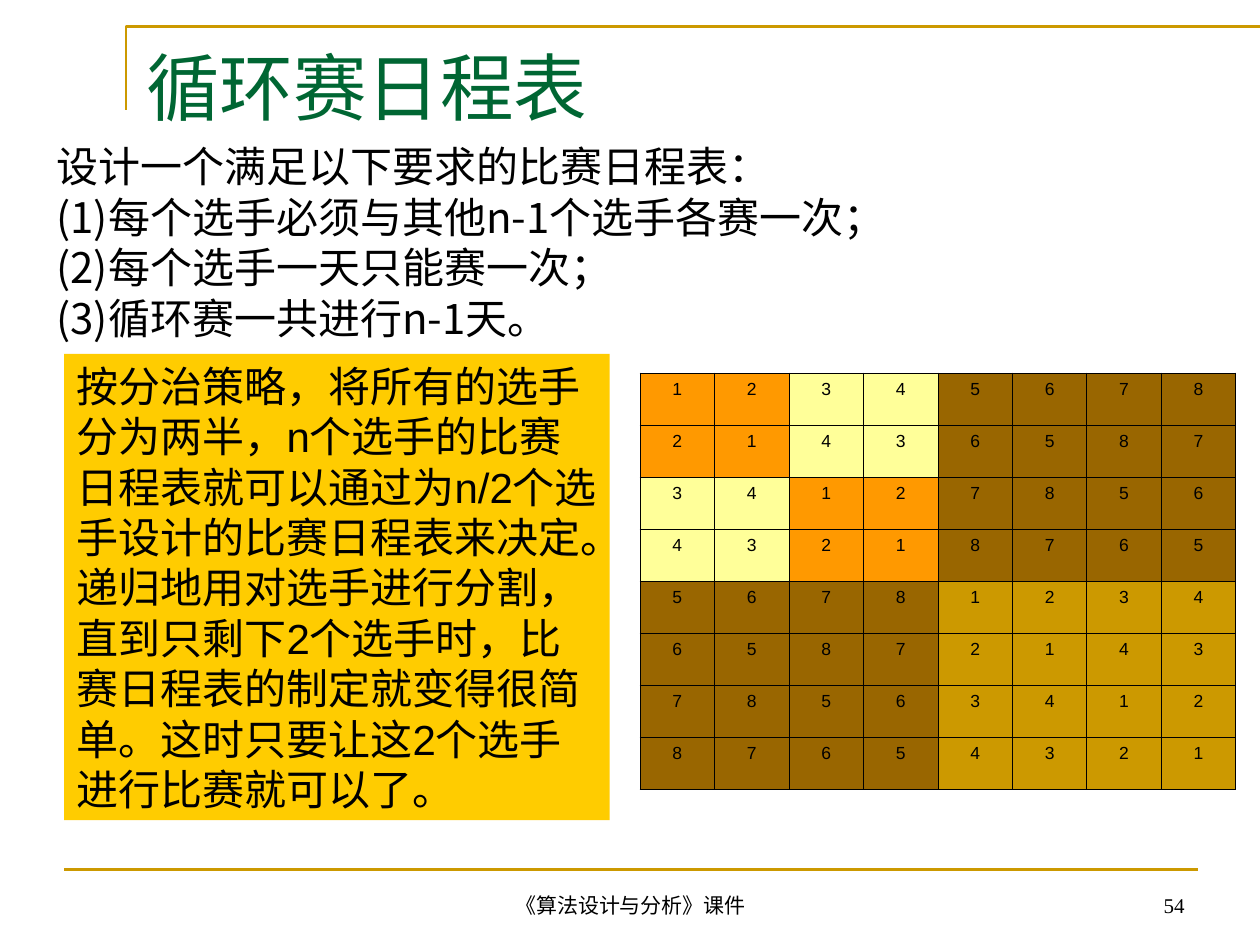
import lxml.etree
import pptx
import pptx.dml.color
import pptx.enum.lang
import pptx.enum.shapes
import pptx.enum.text
import pptx.oxml.ns
import pptx.util

RGBColor = pptx.dml.color.RGBColor
BLACK = RGBColor(0x00, 0x00, 0x00)
GREEN = RGBColor(0x00, 0x66, 0x33)
GOLD = RGBColor(0xCC, 0x99, 0x00)
AMBER = RGBColor(0xFF, 0xCC, 0x00)
ORANGE = RGBColor(0xFF, 0x99, 0x00)
CREAM = RGBColor(0xFF, 0xFF, 0x99)
BROWN = RGBColor(0x99, 0x66, 0x00)

CHINESE_FONT = "Noto Sans CJK SC"
LATIN_FONT = "Arial"
FOOTER_FONT = "Times New Roman"
LINE_WIDTH = pptx.util.Pt(1.5)
BORDER_WIDTH = pptx.util.Pt(0.45)

ALIGN = pptx.enum.text.PP_ALIGN
ANCHOR = pptx.enum.text.MSO_ANCHOR
FIT = pptx.enum.text.MSO_AUTO_SIZE

COLUMNS, ROWS = 100, 75
PLAYERS = 8

REQUIREMENTS = [
    ("设计一个满足以下要求的比赛日程表：", LATIN_FONT),
    ("(1)每个选手必须与其他n-1个选手各赛一次；", CHINESE_FONT),
    ("(2)每个选手一天只能赛一次；", CHINESE_FONT),
    ("(3)循环赛一共进行n-1天。", CHINESE_FONT),
]
STRATEGY = (
    "按分治策略，将所有的选手分为两半，n个选手的比赛日程表就可以通过为n/2个选手"
    "设计的比赛日程表来决定。递归地用对选手进行分割，直到只剩下2个选手时，"
    "比赛日程表的制定就变得很简单。这时只要让这2个选手进行比赛就可以了。"
)


def match_color(row, column):
    half = PLAYERS // 2
    if row // half != column // half:
        return BROWN
    if row >= half:
        return GOLD
    return ORANGE if row // 2 == column // 2 else CREAM


class SlideBuilder:
    def __init__(self, deck):
        self.column = deck.slide_width / COLUMNS
        self.row = deck.slide_height / ROWS
        self.slide = deck.slides.add_slide(deck.slide_layouts[5])
        self.shapes = self.slide.shapes

    def place(self, *lengths):
        units = (self.column, self.row) * 2
        return [round(length * unit) for length, unit in zip(lengths, units)]

    def fill_text(self, frame, lines, size, color=BLACK, align=ALIGN.LEFT, **frame_format):
        for name, value in {"word_wrap": True, **frame_format}.items():
            setattr(frame, name, value)
        for index, (text, font_name) in enumerate(lines):
            para = frame.add_paragraph() if index else frame.paragraphs[0]
            para.alignment = align
            span = para.add_run()
            span.text = text
            span.font.color.rgb = color
            font_format = {
                "size": pptx.util.Pt(size),
                "name": font_name,
                "language_id": pptx.enum.lang.MSO_LANGUAGE_ID.SIMPLIFIED_CHINESE,
            }
            for name, value in font_format.items():
                setattr(span.font, name, value)
            lxml.etree.SubElement(
                span._r.get_or_add_rPr(), pptx.oxml.ns.qn("a:ea"), typeface=CHINESE_FONT
            )

    def title(self, area, text):
        title = self.shapes.title
        for name, value in zip(("left", "top", "width", "height"), self.place(*area)):
            setattr(title, name, value)
        self.fill_text(title.text_frame, [(text, CHINESE_FONT)], 42, GREEN,
                       vertical_anchor=ANCHOR.TOP, auto_size=FIT.NONE)

    def text(self, area, lines, size, **text_format):
        box = self.shapes.add_textbox(*self.place(*area))
        self.fill_text(box.text_frame, lines, size, **text_format)

    def panel(self, area, lines, size, fill):
        box = self.shapes.add_shape(
            pptx.enum.shapes.MSO_SHAPE.RECTANGLE, *self.place(*area)
        )
        box.shadow.inherit = False
        box.fill.solid()
        box.fill.fore_color.rgb = fill
        box.line.fill.background()
        self.fill_text(box.text_frame, lines, size,
                       vertical_anchor=ANCHOR.TOP, auto_size=FIT.SHAPE_TO_FIT_TEXT)

    def stroke(self, shape):
        shape.line.color.rgb = GOLD
        shape.line.width = LINE_WIDTH

    def corner(self, points):
        start, *rest = [self.place(*point) for point in points]
        builder = self.shapes.build_freeform(*start)
        builder.add_line_segments(rest, close=False)
        corner = builder.convert_to_shape()
        corner.shadow.inherit = False
        corner.fill.background()
        self.stroke(corner)

    def rule(self, start, end):
        rule = self.shapes.add_connector(
            pptx.enum.shapes.MSO_CONNECTOR.STRAIGHT, *self.place(*start, *end)
        )
        self.stroke(rule)
        lxml.etree.SubElement(rule._element.spPr, pptx.oxml.ns.qn("a:effectLst"))

    def border(self, cell):
        properties = cell._tc.get_or_add_tcPr()
        for side in ("lnL", "lnR", "lnT", "lnB"):
            line = lxml.etree.SubElement(
                properties, pptx.oxml.ns.qn(f"a:{side}"), w=str(int(BORDER_WIDTH))
            )
            fill = lxml.etree.SubElement(line, pptx.oxml.ns.qn("a:solidFill"))
            lxml.etree.SubElement(fill, pptx.oxml.ns.qn("a:srgbClr"), val=str(BLACK))

    def schedule(self, area):
        table = self.shapes.add_table(PLAYERS, PLAYERS, *self.place(*area)).table
        table.first_row = table.horz_banding = False
        for row in range(PLAYERS):
            for column in range(PLAYERS):
                cell = table.cell(row, column)
                self.border(cell)
                cell.fill.solid()
                cell.fill.fore_color.rgb = match_color(row, column)
                opponent = (row ^ column) + 1
                self.fill_text(cell.text_frame, [(str(opponent), LATIN_FONT)], 10,
                               align=ALIGN.CENTER)


def main():
    deck = pptx.Presentation()
    deck.slide_width = pptx.util.Inches(10)
    deck.slide_height = pptx.util.Inches(7.5)
    page = SlideBuilder(deck)

    page.corner([(10, 8.7), (10, 2.1), (100, 2.1)])
    page.rule((5.1, 69), (95.1, 69))
    page.title((10.6, 2.8, 85, 8.4), "循环赛日程表")
    page.text((3.5, 10.7, 91.6, 17), REQUIREMENTS, 24, auto_size=FIT.SHAPE_TO_FIT_TEXT)
    page.panel((5.1, 28.1, 43.3, 37), [(STRATEGY, LATIN_FONT)], 24, AMBER)
    page.schedule((50.8, 29.6, 47.3, 33.1))
    page.text((34.2, 69.8, 31.7, 3.5), [("《算法设计与分析》课件", FOOTER_FONT)], 12,
              align=ALIGN.CENTER, vertical_anchor=ANCHOR.BOTTOM)
    page.text((71.7, 69.8, 23.3, 3.5), [("54", FOOTER_FONT)], 12,
              align=ALIGN.RIGHT, vertical_anchor=ANCHOR.BOTTOM)

    deck.save("out.pptx")


if __name__ == "__main__":
    main()
